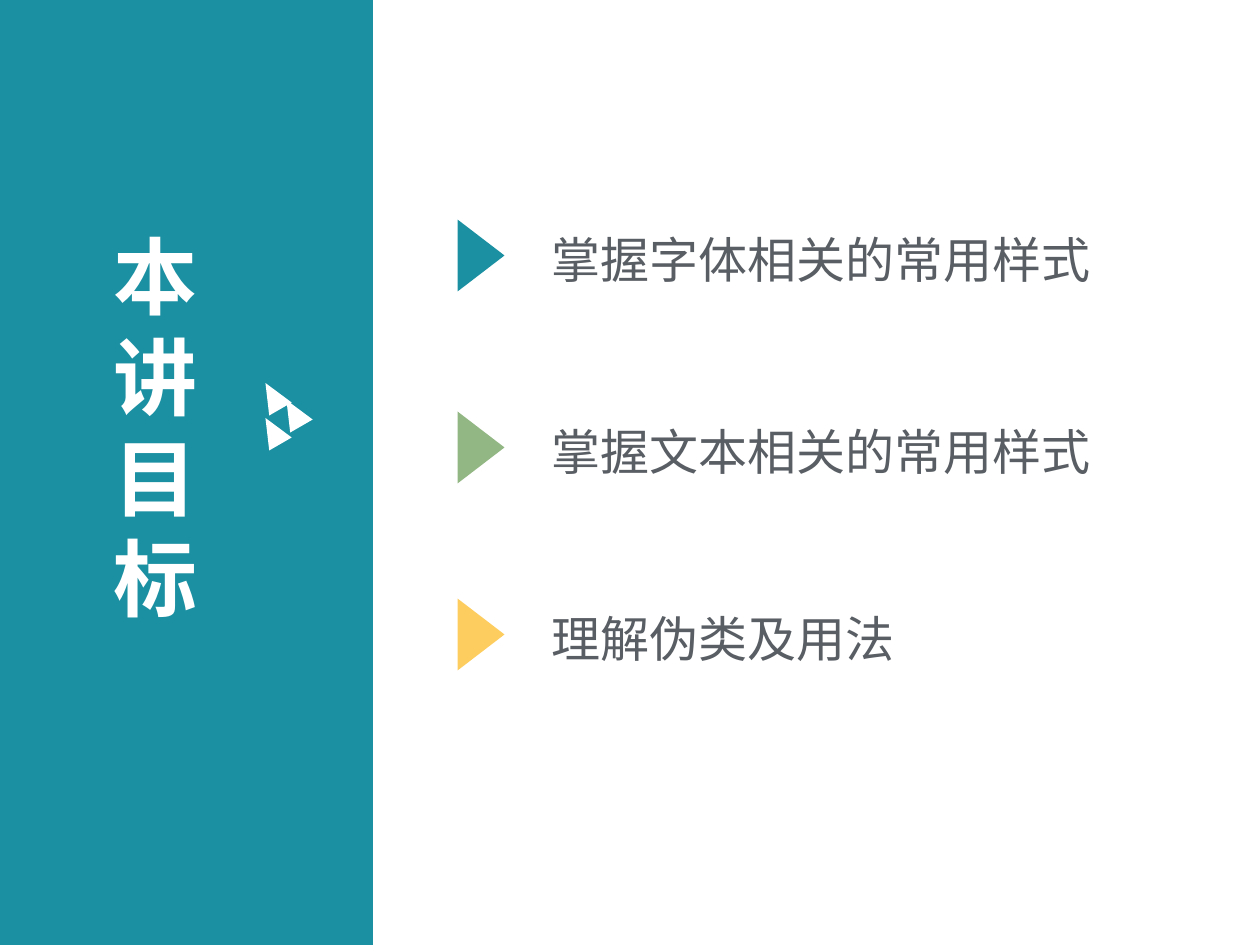
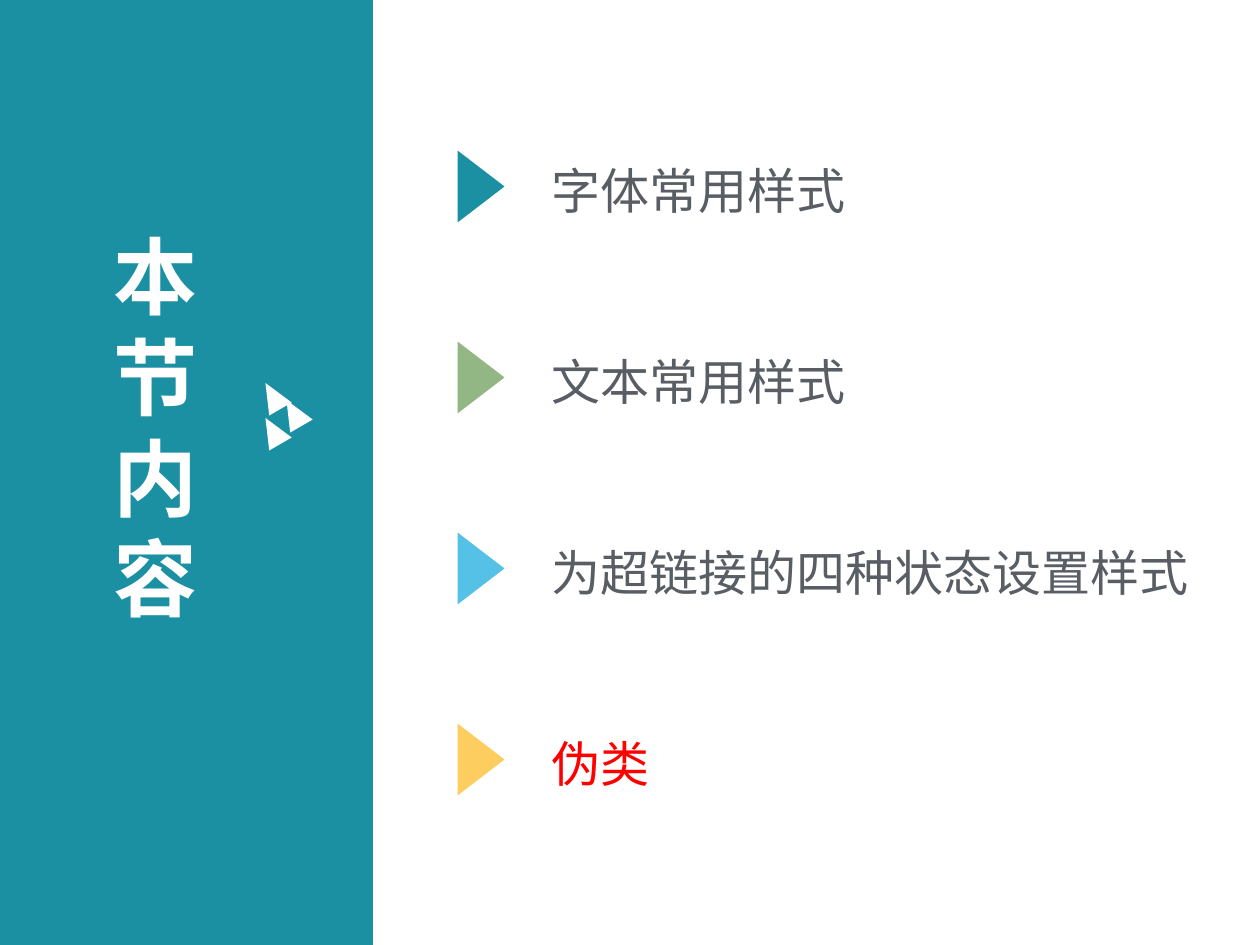
from lxml.etree import SubElement
from pptx import Presentation
from pptx.dml.color import RGBColor
from pptx.enum.shapes import MSO_SHAPE as Shape
from pptx.enum.text import MSO_ANCHOR as Anchor, MSO_AUTO_SIZE as AutoSize, PP_ALIGN as Align
from pptx.oxml.ns import qn
from pptx.util import Pt

PX = 914400 // 126  # EMU per pixel
PX_PER_PT = 126 / 72
WIDTH, HEIGHT = 1260, 945
FONT = "Noto Sans CJK SC"
COLORS = {
    "teal": "1B90A2", "green": "93B784", "blue": "55C1E7", "yellow": "FDCD5F",
    "white": "FFFFFF", "gray": "595E64", "red": "FF0000",
}
TITLE_STYLE = {"size": Pt(48), "bold": True, "name": FONT}
ITEM_STYLE = {"size": Pt(28), "bold": False, "name": FONT}
TITLE_LINE, ITEM_LINE = 57.5, 34  # line heights in points
ITEM_HEIGHT = 72
EMBLEM = [(260, 381), (260, 416), (281, 398)]

# Each page: title, then rows of top, marker colour, text and text colour
PAGES = [
    ("本讲目标", [
        (219, "teal", "掌握字体相关的常用样式", "gray"),
        (411, "green", "掌握文本相关的常用样式", "gray"),
        (598, "yellow", "理解伪类及用法", "gray"),
    ]),
    ("本节内容", [
        (150, "teal", "字体常用样式", "gray"),
        (341, "green", "文本常用样式", "gray"),
        (532, "blue", "为超链接的四种状态设置样式", "gray"),
        (723, "yellow", "伪类", "red"),
    ]),
]


def add_shape(shapes, kind, place, color, rotation=0):
    """Add a plain filled shape; place is left, top, width, height in pixels."""
    shape = shapes.add_shape(kind, *[value * PX for value in place])
    shape.shadow.inherit = False
    shape.fill.solid()
    shape.fill.fore_color.rgb = RGBColor.from_string(COLORS[color])
    shape.line.fill.background()
    shape.rotation = rotation
    return shape


def write_para(para, text, style, color, line):
    """Write one left-aligned paragraph without a bullet."""
    para.alignment = Align.LEFT
    para.line_spacing = Pt(line)
    para.space_before = para.space_after = Pt(0)
    span = para.add_run()
    span.text = text
    for name, value in style.items():
        setattr(span.font, name, value)
    span.font.color.rgb = RGBColor.from_string(COLORS[color])
    SubElement(span.font._element, qn("a:ea")).set("typeface", FONT)
    props = para._p.get_or_add_pPr()
    props.set("marL", "0")
    props.set("indent", "0")
    SubElement(props, qn("a:buNone"))


deck = Presentation()
deck.slide_width, deck.slide_height = WIDTH * PX, HEIGHT * PX

for heading, rows in PAGES:
    page = deck.slides.add_slide(deck.slide_layouts[1])
    title, body = page.placeholders
    band = add_shape(page.shapes, Shape.RECTANGLE, (0, 0, 373, HEIGHT), "teal")
    title._element.addprevious(band._element)

    # Placeholders: the title is one character wide, the list one line per row
    list_height = rows[-1][0] - rows[0][0] + ITEM_HEIGHT
    places = [
        (title, (101, 212, 165, 420), 13),
        (body, (539, rows[0][0], WIDTH - 539, list_height), 10),
    ]
    for box, place, inset in places:
        box.left, box.top, box.width, box.height = [value * PX for value in place]
        frame_format = {
            "word_wrap": True, "auto_size": AutoSize.NONE, "vertical_anchor": Anchor.TOP,
            "margin_left": 13 * PX, "margin_right": 13 * PX,
            "margin_top": inset * PX, "margin_bottom": 0,
        }
        for name, value in frame_format.items():
            setattr(box.text_frame, name, value)

    write_para(title.text_frame.paragraphs[0], heading, TITLE_STYLE, "white", TITLE_LINE)

    emblem = page.shapes.add_group_shape()
    for left, top in EMBLEM:
        add_shape(emblem.shapes, Shape.ISOSCELES_TRIANGLE, (left, top, 26, 30), "white", 330)

    previous = None
    for top, marker, text, color in rows:
        add_shape(page.shapes, Shape.ISOSCELES_TRIANGLE, (445, top + 13, 72, 47), marker, 90)
        frame = body.text_frame
        para = frame.paragraphs[0] if previous is None else frame.add_paragraph()
        write_para(para, text, ITEM_STYLE, color, ITEM_LINE)
        if previous is not None:
            para.space_before = Pt((top - previous) / PX_PER_PT - ITEM_LINE)
        previous = top

deck.save("out.pptx")
